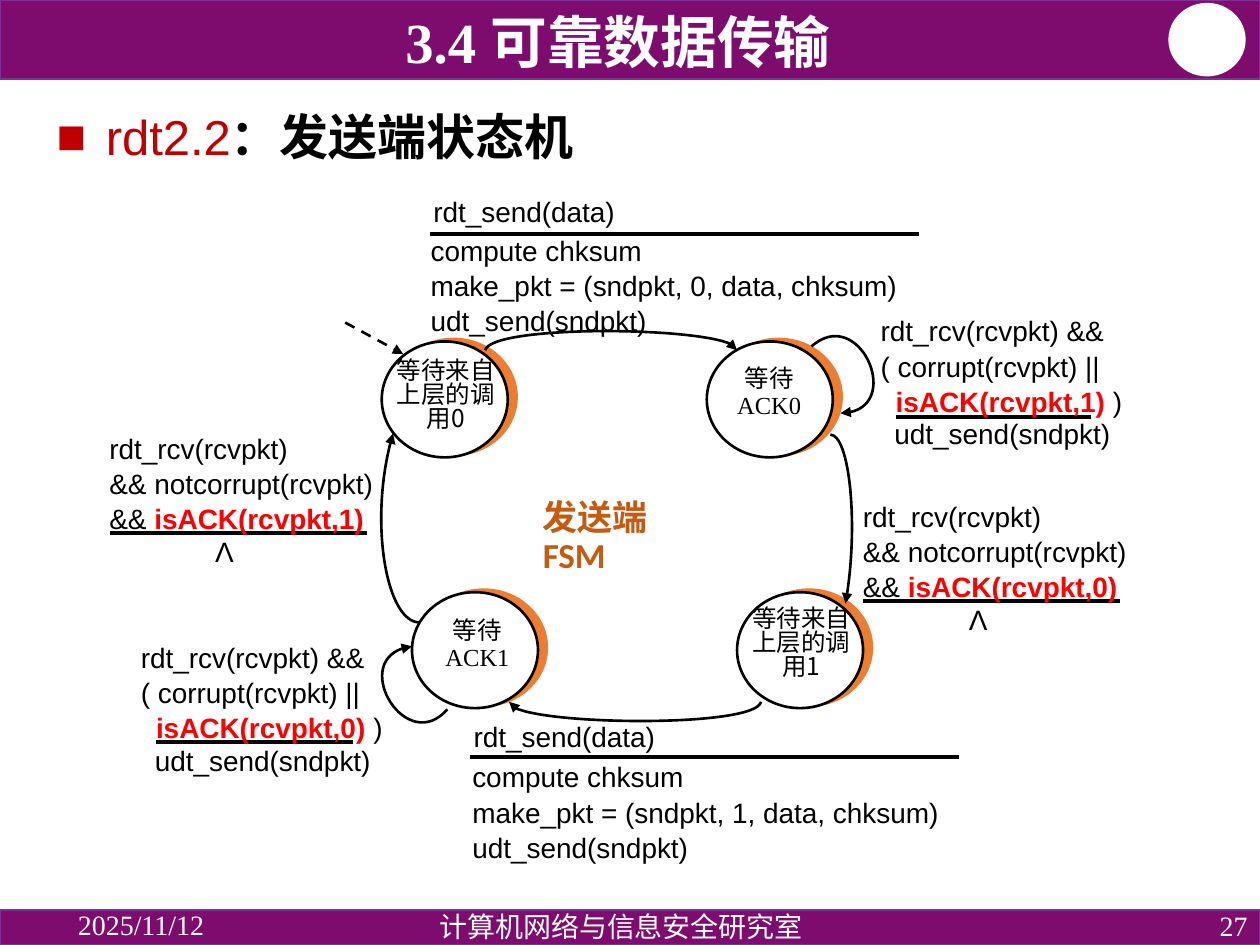
from lxml import etree
from pptx import Presentation
from pptx.dml.color import RGBColor
from pptx.enum.dml import MSO_LINE_DASH_STYLE as Dash
from pptx.enum.shapes import MSO_CONNECTOR as Connector, MSO_SHAPE as Shape
from pptx.enum.text import MSO_ANCHOR as Anchor, PP_ALIGN as Align
from pptx.oxml.ns import qn
from pptx.util import Inches, Pt

COLORS = {
    "purple": "7E0C6E", "edge": "7F2F95", "white": "FFFFFF", "black": "000000",
    "orange": "ED7D31", "brown": "C55A11", "crimson": "C00000", "red": "FF0000",
}
CJK = "Noto Sans CJK SC"
ROMAN = "Times New Roman"

TITLE = "3.4 可靠数据传输"
HEADING = [("rdt2.2", "crimson", False), ("：发送端状态机", "black", True)]
BARS = [(0, 0, 10, 0.63), (0, 7.22, 10, 0.28)]
BADGE = (9.28, 0.03, 0.6, 0.57)
FOOTERS = [
    ((0.52, 7.22, 2.25, 0.26), "2025/11/12", Align.LEFT, Anchor.MIDDLE),
    ((2.69, 7.2, 4.48, 0.28), "计算机网络与信息安全研究室", Align.CENTER, Anchor.TOP),
    ((7.75, 7.22, 2.25, 0.28), "27", Align.RIGHT, Anchor.MIDDLE),
]

STATE_SIZE = (1, 0.92)
SHADE_OFFSET = (0.07, -0.02)
STATES = [
    ((3.03, 2.71), (3.05, 2.81, 0.98, 0.77), "等待来自上层的调用0", CJK),
    ((5.61, 2.71), (5.64, 2.86, 0.93, 0.66), "等待ACK0", ROMAN),
    ((5.85, 4.7), (5.87, 4.78, 0.98, 0.77), "等待来自上层的调用1", CJK),
    ((3.27, 4.7), (3.3, 4.86, 0.98, 0.63), "等待ACK1", ROMAN),
]
CAPTION = ((4.21, 3.92, 1.54, 0.44), ["发送端", "FSM"])

CURVES = [
    [(3.85, 2.78), (3.9, 2.58), (5.85, 2.59), (5.85, 2.78)],
    [(6.44, 2.75), (6.81, 2.42), (7.2, 3.27), (6.67, 3.28)],
    [(6.59, 3.45), (6.74, 3.45), (6.82, 4.19), (6.71, 4.79)],
    [(6.04, 5.57), (6, 5.77), (4.04, 5.76), (4.04, 5.57)],
    [(3.55, 5.63), (3.23, 6), (2.74, 5.2), (3.27, 5.13)],
    [(3.33, 4.94), (3.07, 4.94), (2.92, 4.11), (3.12, 3.44)],
]
START_ARROW = (2.74, 2.56, 3.2, 2.81)
RULES = [
    (3.41, 1.86, 3.88), (7.11, 3.31, 1.55), (6.85, 4.77, 2.04),
    (3.73, 6.01, 3.88), (0.87, 4.23, 2.04), (1.24, 5.89, 1.56),
]

SEND, RESEND, NOTHING = ["rdt_send(data)"], ["udt_send(sndpkt)"], ["Λ"]


def make_packet(number):
    return ["compute chksum", f"make_pkt = (sndpkt, {number}, data, chksum)", "udt_send(sndpkt)"]


def bad_reply(number):
    return ["rdt_rcv(rcvpkt) &&", "( corrupt(rcvpkt) ||", ("", f"isACK(rcvpkt,{number})", " )")]


def good_reply(number):
    return ["rdt_rcv(rcvpkt)", "&& notcorrupt(rcvpkt)", ("&& ", f"isACK(rcvpkt,{number})", "")]


LABELS = [
    ((3.34, 1.48, 1.89, 0.31), SEND),
    ((3.32, 1.79, 3.97, 0.63), make_packet(0)),
    ((6.89, 2.43, 2.22, 1.2), bad_reply(1)),
    ((7, 3.24, 2.32, 0.44), RESEND),
    ((6.75, 3.9, 2.36, 0.62), good_reply(0)),
    ((7.59, 4.72, 0.41, 0.37), NOTHING),
    ((3.66, 5.65, 1.89, 0.31), SEND),
    ((3.65, 5.97, 4.02, 0.87), make_packet(1)),
    ((1.02, 5.02, 2.27, 1.26), bad_reply(0)),
    ((1.13, 5.84, 2.32, 0.44), RESEND),
    ((0.77, 3.36, 2.5, 0.62), good_reply(1)),
    ((1.61, 4.18, 0.41, 0.37), NOTHING),
]


def rgb(name):
    return RGBColor.from_string(COLORS[name])


def add_span(para, text, size, font, color, bold=False):
    span = para.add_run()
    span.text = text
    span.font.size = Pt(size)
    span.font.name = font
    span.font.bold = bold
    span.font.color.rgb = rgb(color)
    etree.SubElement(span.font._element, qn("a:ea"), typeface=CJK)


def place(shape, area):
    shape.left, shape.top, shape.width, shape.height = map(Inches, area)


def add_box(area, anchor=Anchor.TOP):
    frame = page.shapes.add_textbox(*map(Inches, area)).text_frame
    frame.word_wrap = True
    frame.vertical_anchor = anchor
    return frame


def add_preset(kind, area, fill, edge, width):
    shape = page.shapes.add_shape(kind, *map(Inches, area))
    shape.shadow.inherit = False
    shape.fill.solid()
    shape.fill.fore_color.rgb = rgb(fill)
    shape.line.color.rgb = rgb(edge)
    shape.line.width = Pt(width)


def add_arrowhead(line):
    etree.SubElement(line._get_or_add_ln(), qn("a:tailEnd"), type="triangle")


def add_line(x1, y1, x2, y2, width):
    line = page.shapes.add_connector(Connector.STRAIGHT, *map(Inches, (x1, y1, x2, y2)))
    line.line.color.rgb = rgb("black")
    line.line.width = Pt(width)
    etree.SubElement(line._element.spPr, qn("a:effectLst"))
    return line


def curve_point(points, t):
    weights = ((1 - t) ** 3, 3 * t * (1 - t) ** 2, 3 * t * t * (1 - t), t ** 3)
    return tuple(Inches(sum(w * p[axis] for w, p in zip(weights, points))) for axis in (0, 1))


def add_curve(points):
    samples = [curve_point(points, step / 20) for step in range(21)]
    builder = page.shapes.build_freeform(*samples[0], scale=1.0)
    builder.add_line_segments(samples[1:], close=False)
    curve = builder.convert_to_shape()
    outline = curve._element.find(".//" + qn("a:path"))
    for segment in outline.findall(qn("a:lnTo")):
        outline.remove(segment)
    bend = etree.SubElement(outline, qn("a:cubicBezTo"))
    for x, y in points[1:]:
        etree.SubElement(bend, qn("a:pt"), x=str(Inches(x) - curve.left), y=str(Inches(y) - curve.top))
    curve.shadow.inherit = False
    curve.fill.background()
    curve.line.color.rgb = rgb("black")
    curve.line.width = Pt(1.5)
    add_arrowhead(curve.line)


def add_label(area, lines):
    frame = add_box(area)
    for index, line in enumerate(lines):
        para = frame.paragraphs[0] if index == 0 else frame.add_paragraph()
        para.line_spacing = 1.05
        before, key, after = (line, "", "") if isinstance(line, str) else line
        if not before:
            para._p.get_or_add_pPr().set("marL", str(Inches(0.12)))
        for text, color, bold in ((before, "black", False), (key, "red", True), (after, "black", False)):
            if text:
                add_span(para, text, 16, "Arial", color, bold)


deck = Presentation()
deck.slide_width, deck.slide_height = Inches(10), Inches(7.5)
page = deck.slides.add_slide(deck.slide_layouts[1])
title, body = page.placeholders

for bar in BARS:
    add_preset(Shape.RECTANGLE, bar, "purple", "edge", 1)
add_preset(Shape.OVAL, BADGE, "white", "white", 1)
for area, text, align, anchor in FOOTERS:
    para = add_box(area, anchor).paragraphs[0]
    para.alignment = align
    para.line_spacing = 0.9
    add_span(para, text, 16, ROMAN, "white")

place(title, (0.77, 0.04, 8.27, 0.56))
page.shapes._spTree.append(title._element)
title.text_frame.vertical_anchor = Anchor.BOTTOM
title.text_frame.margin_bottom = Inches(0.01)
para = title.text_frame.paragraphs[0]
para.alignment = Align.CENTER
para.line_spacing = 0.8
add_span(para, TITLE, 32.4, ROMAN, "white", True)

place(body, (0.35, 0.67, 9.29, 0.88))
body.text_frame.vertical_anchor = Anchor.MIDDLE
para = body.text_frame.paragraphs[0]
para.line_spacing = 0.9
para.space_before = Pt(0)
settings = para._p.get_or_add_pPr()
settings.set("marL", str(Inches(0.39)))
settings.set("indent", str(-Inches(0.39)))
etree.SubElement(etree.SubElement(settings, qn("a:buClr")), qn("a:srgbClr"), val=COLORS["crimson"])
etree.SubElement(settings, qn("a:buFont"), typeface="Arial")
etree.SubElement(settings, qn("a:buChar"), char="■")
for text, color, bold in HEADING:
    add_span(para, text, 28, "Arial", color, bold)

for (left, top), *_ in STATES:
    shade = (left + SHADE_OFFSET[0], top + SHADE_OFFSET[1])
    add_preset(Shape.OVAL, shade + STATE_SIZE, "orange", "orange", 1.5)
    add_preset(Shape.OVAL, (left, top) + STATE_SIZE, "white", "black", 1.5)
for points in CURVES:
    add_curve(points)
start = add_line(*START_ARROW, 1.5)
start.line.dash_style = Dash.DASH
add_arrowhead(start.line)
for left, top, length in RULES:
    add_line(left, top, left + length, top, 2.25)

for _, area, text, font in STATES:
    para = add_box(area).paragraphs[0]
    para.alignment = Align.CENTER
    para.line_spacing = 0.82 if font == CJK else 0.9
    add_span(para, text, 14, font, "black")
for area, lines in LABELS:
    add_label(area, lines)

area, (first, second) = CAPTION
para = add_box(area).paragraphs[0]
para.line_spacing = 0.9
add_span(para, first, 20, "Calibri", "brown", True)
para.add_line_break()
add_span(para, second, 20, "Calibri", "brown", True)

deck.save("out.pptx")
